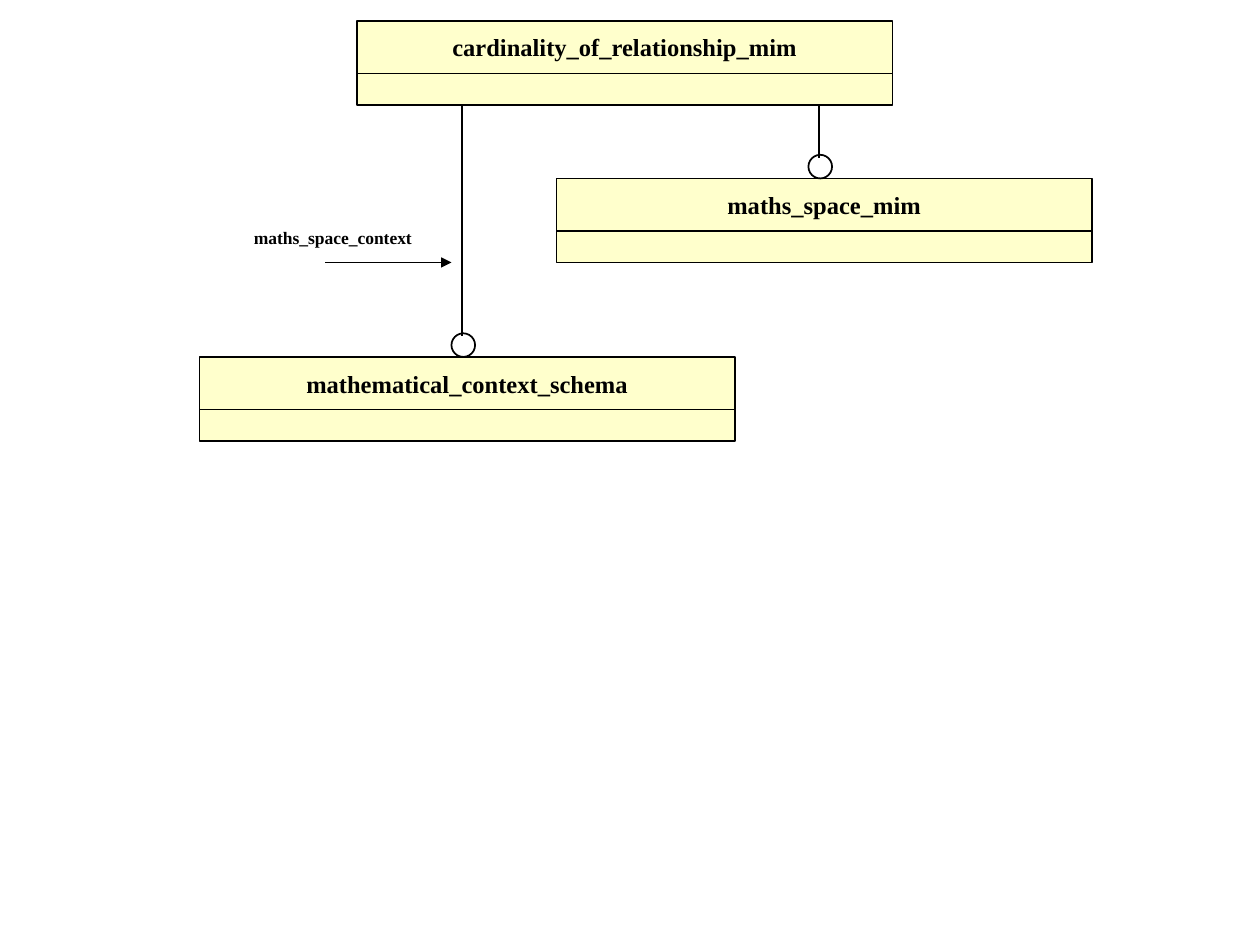
from lxml.etree import SubElement
from pptx import Presentation
from pptx.dml.color import RGBColor
from pptx.enum.shapes import MSO_CONNECTOR as Connector, MSO_SHAPE as Shape
from pptx.enum.text import MSO_ANCHOR as Anchor, PP_ALIGN as Align
from pptx.oxml.ns import qn
from pptx.util import Inches, Pt

COLORS = {"ink": "000000", "schema": "FFFFCC", "paper": "FFFFFF"}

# Grid of 120 columns by 90 rows, twelve cells to the inch
CELL = Inches(1) / 12
SCHEMA_WIDTH, NAME_ROWS, BODY_ROWS = 51, 5, 3
CIRCLE_SIZE = 2.25

# Schema name: left column, top row
SCHEMAS = {
    "cardinality_of_relationship_mim": (34, 2),
    "maths_space_mim": (53, 17),
    "mathematical_context_schema": (19, 34),
}
# Reference lines: column, top row of the schema referred to
REFERENCES = [(78, 17), (44, 34)]
REFERENCE_START = 10


def grid(*cells):
    return [round(cell * CELL) for cell in cells]


def color(name):
    return RGBColor.from_string(COLORS[name])


def set_line(line, width):
    line.color.rgb = color("ink")
    line.width = Pt(width)


def add_outline(shapes, kind, box, fill, width):
    shape = shapes.add_shape(kind, *grid(*box))
    shape.shadow.inherit = False
    shape.fill.solid()
    shape.fill.fore_color.rgb = color(fill)
    set_line(shape.line, width)
    return shape


def write(shape, text, size, align, anchor):
    frame = shape.text_frame
    frame.word_wrap = False
    frame.vertical_anchor = anchor
    paragraph = frame.paragraphs[0]
    paragraph.text = text
    paragraph.alignment = align
    font_format = {"name": "Times New Roman", "size": Pt(size), "bold": True}
    for attribute, value in font_format.items():
        setattr(paragraph.font, attribute, value)
    paragraph.font.color.rgb = color("ink")


def add_line(slide, start, end):
    line = slide.shapes.add_connector(Connector.STRAIGHT, *grid(*start, *end))
    set_line(line.line, 1)
    SubElement(line._element.spPr, qn("a:effectLst"))
    return line


def add_schema(slide, name, left, top):
    """Two stacked compartments: the name above an empty body."""
    shapes = slide.shapes.add_group_shape().shapes
    header = add_outline(shapes, Shape.RECTANGLE,
                         (left, top, SCHEMA_WIDTH, NAME_ROWS), "schema", 0.75)
    write(header, name, 14, Align.CENTER, Anchor.MIDDLE)
    add_outline(shapes, Shape.RECTANGLE,
                (left, top + NAME_ROWS, SCHEMA_WIDTH, BODY_ROWS), "schema", 0.75)


def add_reference(slide, column, target):
    """A line that ends in a circle on top of the schema referred to."""
    circle = (column - 1, target - CIRCLE_SIZE, CIRCLE_SIZE, CIRCLE_SIZE)
    add_outline(slide.shapes, Shape.OVAL, circle, "paper", 1)
    add_line(slide, (column, target - 2), (column, REFERENCE_START))


def add_label(slide, text, left, top, width, height):
    """A caption with an arrow below it, pointing right."""
    caption = slide.shapes.add_textbox(*grid(left, top, width, height))
    write(caption, text, 10, Align.LEFT, Anchor.TOP)
    arrow = add_line(slide, (left + 8, top + 4), (left + 20, top + 4))
    arrow_line = arrow.line._get_or_add_ln()
    SubElement(arrow_line, qn("a:tailEnd"), type="triangle")


def main():
    presentation = Presentation()
    presentation.slide_width, presentation.slide_height = grid(120, 90)
    slide = presentation.slides.add_slide(presentation.slide_layouts[6])

    # Schemas
    for name, (left, top) in SCHEMAS.items():
        add_schema(slide, name, left, top)

    # References between schemas
    for column, target in REFERENCES:
        add_reference(slide, column, target)

    # Item taken over by the left reference
    add_label(slide, "maths_space_context", 23, 21, 17.4, 3.25)

    presentation.save("out.pptx")


if __name__ == "__main__":
    main()
